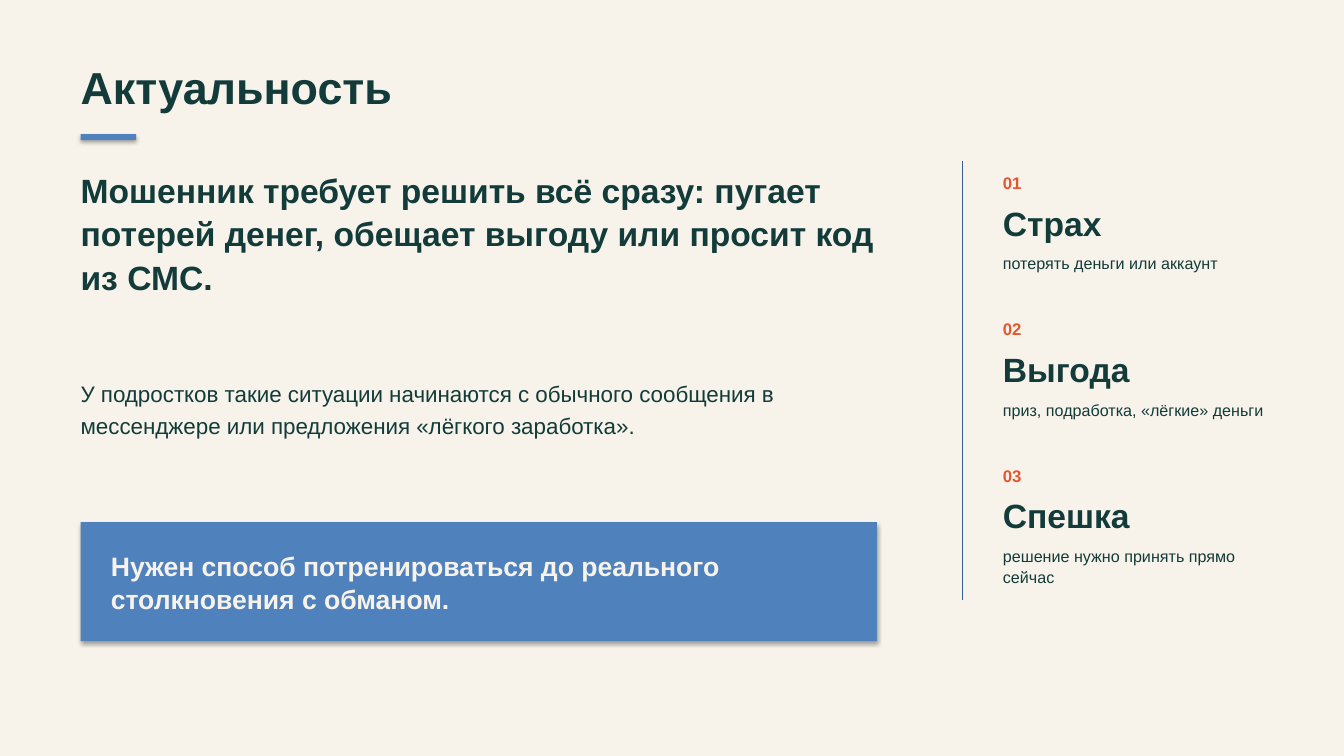
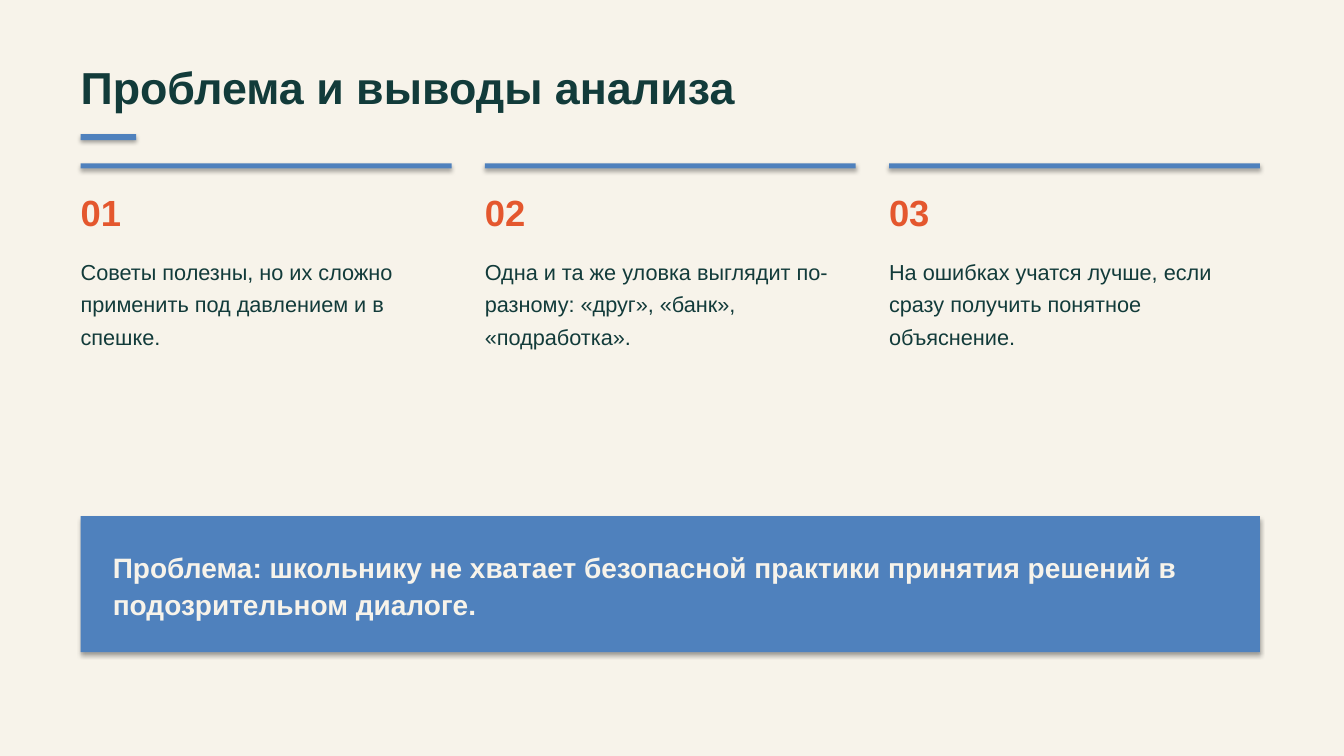
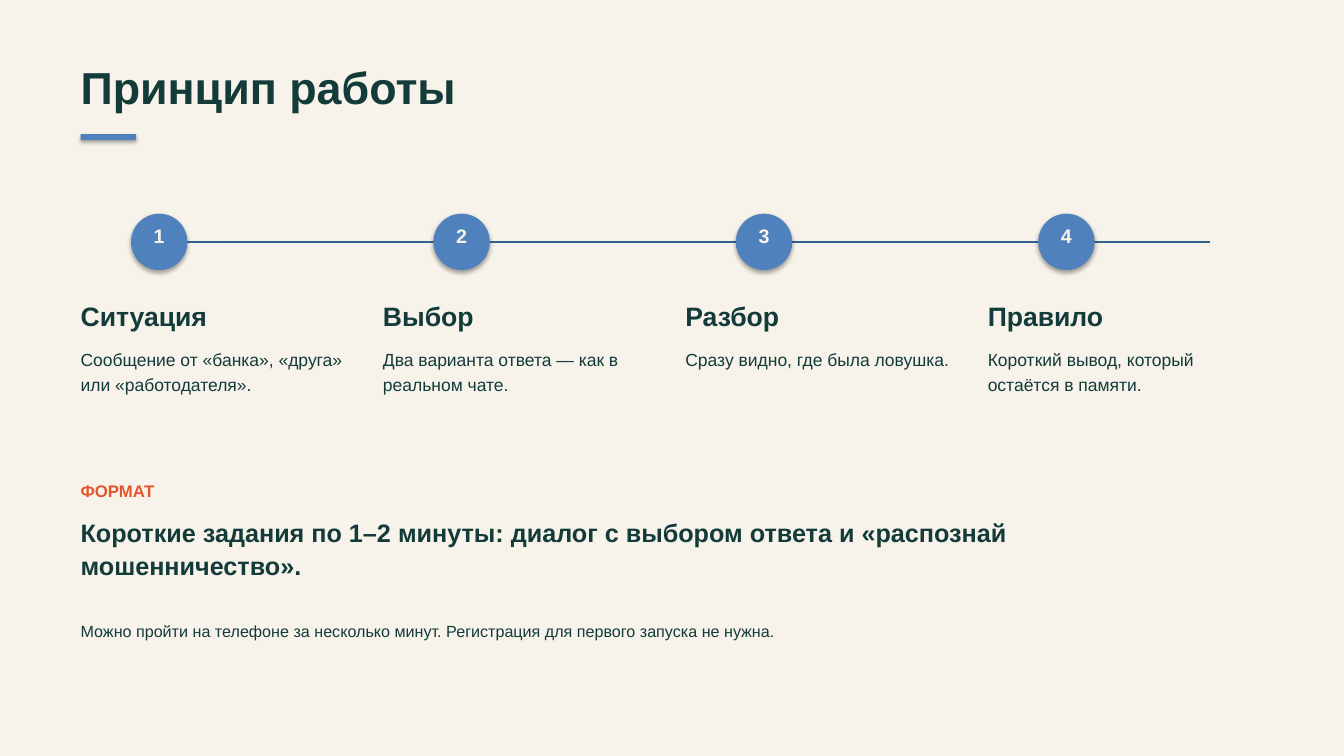
from lxml import etree
from pptx import Presentation
from pptx.dml.color import RGBColor
from pptx.enum.shapes import MSO_CONNECTOR, MSO_SHAPE
from pptx.enum.text import MSO_ANCHOR, PP_ALIGN
from pptx.oxml.ns import qn
from pptx.util import Pt

RECTANGLE = MSO_SHAPE.RECTANGLE
OVAL = MSO_SHAPE.OVAL
STRAIGHT = MSO_CONNECTOR.STRAIGHT
TOP = MSO_ANCHOR.TOP
MIDDLE = MSO_ANCHOR.MIDDLE
LEFT = PP_ALIGN.LEFT
CENTER = PP_ALIGN.CENTER

FONT = "Arial"
CREAM = "F7F3EA"
INK = "123B3A"
BLUE = "4F81BD"
NAVY = "376092"
ORANGE = "E4572E"

MARGIN = 57.6
CONTENT_WIDTH = 842.4


def color(hex_string):
    return RGBColor.from_string(hex_string)


def write(shape, text, size, tint=INK, bold=False, spacing=1.08,
          align=LEFT, anchor=TOP, inset=0):
    frame = shape.text_frame
    frame.word_wrap = True
    frame.vertical_anchor = anchor
    frame.margin_left = frame.margin_right = Pt(inset)
    frame.margin_top = frame.margin_bottom = 0
    para = frame.paragraphs[0]
    para.text = text
    para.alignment = align
    para.line_spacing = spacing
    para.font.name = FONT
    para.font.size = Pt(size)
    para.font.bold = bold
    para.font.color.rgb = color(tint)


def add_text(page, box, text, size, **style):
    write(page.shapes.add_textbox(*map(Pt, box)), text, size, **style)


def add_block(page, box, kind=RECTANGLE):
    block = page.shapes.add_shape(kind, *map(Pt, box))
    block.fill.solid()
    block.fill.fore_color.rgb = color(BLUE)
    block.line.fill.background()
    return block


def add_line(page, start, end):
    line = page.shapes.add_connector(STRAIGHT, *map(Pt, (*start, *end)))
    line.line.color.rgb = color(NAVY)
    line.line.width = Pt(1)
    etree.SubElement(line._element.spPr, qn("a:effectLst"))


def add_page(deck, title):
    page = deck.slides.add_slide(deck.slide_layouts[6])
    add_text(page, (MARGIN, 39.6, CONTENT_WIDTH, 50.4), title, 32, bold=True)
    add_block(page, (MARGIN, 95.76, 39.6, 4.32))
    return page


def add_callout(page, box, text, size, spacing, inset):
    write(add_block(page, box), text, size, tint=CREAM, bold=True,
          spacing=spacing, anchor=MIDDLE, inset=inset)


def add_trigger(page, left, top, number, name, detail):
    add_text(page, (left, top, 50.4, 21.6), number, 12, tint=ORANGE, bold=True)
    add_text(page, (left, top + 20.16, 187.2, 32.4), name, 24, bold=True)
    add_text(page, (left, top + 57.6, 187.2, 36), detail, 11.5, spacing=1.1)


def add_finding(page, left, top, width, number, text):
    add_block(page, (left, top, width, 3.6))
    add_text(page, (left, top + 16.56, 72, 36), number, 26, tint=ORANGE, bold=True)
    add_text(page, (left, top + 63.36, width, 136.8), text, 15.5, spacing=1.25)


def add_step(page, left, top, number, name, detail):
    circle = add_block(page, (left + 36, top, 40.32, 40.32), OVAL)
    write(circle, number, 14, tint=CREAM, bold=True, align=CENTER)
    add_text(page, (left, top + 59.76, 194.4, 32.4), name, 19, bold=True)
    add_text(page, (left, top + 93.6, 194.4, 72), detail, 12.5, spacing=1.2)


def add_format(page, left, top, label, summary, note):
    width = 820.8
    add_text(page, (left, top, 144, 21.6), label, 12, tint=ORANGE, bold=True)
    add_text(page, (left, top + 25.2, width, 61.2), summary, 18, bold=True, spacing=1.1)
    add_text(page, (left, top + 100.8, width, 28.8), note, 11.5)


def build_relevance(deck):
    page = add_page(deck, "Актуальность")
    add_text(page, (MARGIN, 118.8, 583.2, 136.8),
             "Мошенник требует решить всё сразу: пугает потерей денег, "
             "обещает выгоду или просит код из СМС.", 24, bold=True)
    add_text(page, (MARGIN, 267.84, 540, 90),
             "У подростков такие ситуации начинаются с обычного сообщения "
             "в мессенджере или предложения «лёгкого заработка».", 16, spacing=1.2)
    add_callout(page, (MARGIN, 372.96, 568.8, 84.96),
                "Нужен способ потренироваться до реального столкновения с обманом.",
                19, spacing=1.05, inset=21.6)
    add_line(page, (687.6, 115.2), (687.6, 428.4))
    triggers = [
        ("Страх", "потерять деньги или аккаунт"),
        ("Выгода", "приз, подработка, «лёгкие» деньги"),
        ("Спешка", "решение нужно принять прямо сейчас"),
    ]
    for index, (name, detail) in enumerate(triggers):
        add_trigger(page, 716.4, 122.4 + 104.4 * index, f"{index + 1:02}", name, detail)


def build_problem(deck):
    page = add_page(deck, "Проблема и выводы анализа")
    findings = [
        "Советы полезны, но их сложно применить под давлением и в спешке.",
        "Одна и та же уловка выглядит по-разному: «друг», «банк», «подработка».",
        "На ошибках учатся лучше, если сразу получить понятное объяснение.",
    ]
    gap = 23.76
    width = (CONTENT_WIDTH - gap * (len(findings) - 1)) / len(findings)
    for index, text in enumerate(findings):
        add_finding(page, MARGIN + (width + gap) * index, 116.64, width,
                    f"{index + 1:02}", text)
    add_callout(page, (MARGIN, 368.64, CONTENT_WIDTH, 97.2),
                "Проблема: школьнику не хватает безопасной практики принятия "
                "решений в подозрительном диалоге.", 20, spacing=1.1, inset=23)


def build_principle(deck):
    page = add_page(deck, "Принцип работы")
    add_line(page, (93.6, 172.8), (864, 172.8))
    steps = [
        ("Ситуация", "Сообщение от «банка», «друга» или «работодателя»."),
        ("Выбор", "Два варианта ответа — как в реальном чате."),
        ("Разбор", "Сразу видно, где была ловушка."),
        ("Правило", "Короткий вывод, который остаётся в памяти."),
    ]
    for index, (name, detail) in enumerate(steps):
        add_step(page, MARGIN + 216 * index, 152.64, str(index + 1), name, detail)
    add_format(page, MARGIN, 342, "ФОРМАТ",
               "Короткие задания по 1–2 минуты: диалог с выбором ответа "
               "и «распознай мошенничество».",
               "Можно пройти на телефоне за несколько минут. "
               "Регистрация для первого запуска не нужна.")


def main():
    deck = Presentation()
    deck.slide_width = Pt(960)
    deck.slide_height = Pt(540)
    backdrop = deck.slide_master.background.fill
    backdrop.solid()
    backdrop.fore_color.rgb = color(CREAM)
    build_relevance(deck)
    build_problem(deck)
    build_principle(deck)
    deck.save("out.pptx")


if __name__ == "__main__":
    main()
